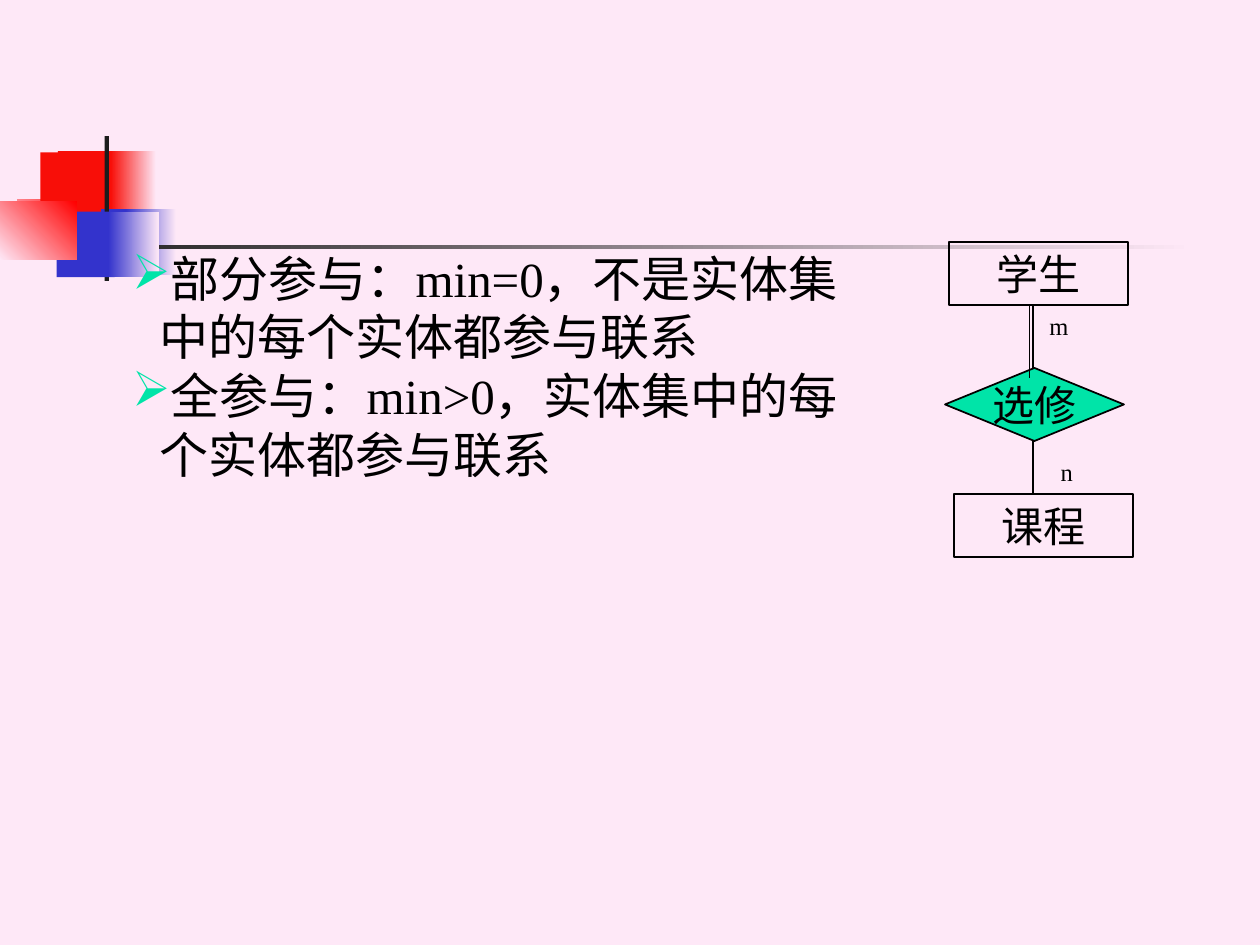
from dataclasses import dataclass
from typing import Optional

from lxml import etree
from pptx import Presentation
from pptx.dml.color import RGBColor
from pptx.enum.shapes import MSO_CONNECTOR, MSO_SHAPE
from pptx.enum.text import MSO_ANCHOR, PP_ALIGN
from pptx.oxml.ns import qn
from pptx.util import Inches, Pt

RECTANGLE = MSO_SHAPE.RECTANGLE
DECISION = MSO_SHAPE.FLOWCHART_DECISION
STRAIGHT = MSO_CONNECTOR.STRAIGHT
CENTER, LEFT = PP_ALIGN.CENTER, PP_ALIGN.LEFT
TOP, MIDDLE = MSO_ANCHOR.TOP, MSO_ANCHOR.MIDDLE

# The slide is a grid of 100 columns by 75 rows
WIDTH, HEIGHT = Inches(10), Inches(7.5)
COLUMNS, ROWS = 100, 75
FONT = "Times New Roman"
COLORS = {
    "background": "FEE8F7",
    "red": "F80E08",
    "bright red": "FF0000",
    "blue": "3333CC",
    "dark": "1C1C1C",
    "green": "00E4A8",
    "black": "000000",
}


@dataclass(frozen=True)
class Area:
    column: float
    row: float
    columns: float
    rows: float

    def emu(self) -> tuple:
        return x(self.column), y(self.row), x(self.columns), y(self.rows)


@dataclass(frozen=True)
class Block:
    area: Area
    color: str
    fade_to: Optional[str] = None
    angle: float = 0


@dataclass(frozen=True)
class Node:
    area: Area
    text: str
    preset: int = RECTANGLE
    fill: Optional[str] = None


@dataclass(frozen=True)
class Link:
    column: float
    start_row: float
    end_row: float


@dataclass(frozen=True)
class Label:
    area: Area
    text: str


def fade(area: Area, color: str) -> Block:
    return Block(area, color, "background")


def glow(area: Area) -> Block:
    return Block(area, "background", "bright red", 45)


DECORATION = [
    Block(Area(4.6, 12, 4.8, 5.2), "red"),
    fade(Area(8.8, 12, 3.6, 5.2), "red"),
    Block(Area(5.9, 16.6, 4.6, 5.2), "blue"),
    fade(Area(10, 16.6, 4, 5.2), "blue"),
    glow(Area(1.4, 15.8, 6.1, 4.6)),
    Block(Area(8.3, 10.8, 0.35, 11.5), "dark"),
    fade(Area(4.8, 19.45, 90, 0.35), "dark"),
    Block(Area(3.2, 12.1, 4.8, 5.2), "red"),
    Block(Area(4.5, 16.8, 4.6, 5.2), "blue"),
    fade(Area(8.6, 16.8, 4, 5.2), "blue"),
    glow(Area(0, 16, 6.1, 4.6)),
]
BULLETS = [
    "部分参与：min=0，不是实体集中的每个实体都参与联系",
    "全参与：min>0，实体集中的每个实体都参与联系",
]
NODES = [
    Node(Area(75.3, 19.2, 14.2, 5), "学生"),
    Node(Area(75.7, 39.2, 14.2, 5), "课程"),
    Node(Area(75, 29.2, 14.2, 5.8), "选修", DECISION, "green"),
]
LINKS = [Link(82, 24.2, 29.2), Link(82, 35, 39.2), Link(81.7, 24.2, 30)]
LABELS = [
    Label(Area(82.3, 24.2, 3.3, 3.4), "m"),
    Label(Area(83.2, 35.8, 2.5, 3.4), "n"),
]


def x(columns: float) -> int:
    return round(WIDTH * columns / COLUMNS)


def y(rows: float) -> int:
    return round(HEIGHT * rows / ROWS)


def rgb(name: str) -> RGBColor:
    return RGBColor.from_string(COLORS[name])


def add_run(para, text: str, size: float) -> None:
    span = para.add_run()
    span.text = text
    span.font.name = FONT
    span.font.size = Pt(size)
    span.font.color.rgb = rgb("black")


def add_block(page, block: Block) -> None:
    shape = page.shapes.add_shape(RECTANGLE, *block.area.emu())
    shape.shadow.inherit = False
    shape.line.fill.background()
    if block.fade_to is None:
        shape.fill.solid()
        shape.fill.fore_color.rgb = rgb(block.color)
        return
    shape.fill.gradient()
    shape.fill.gradient_angle = block.angle
    for stop, name in zip(shape.fill.gradient_stops, (block.color, block.fade_to)):
        stop.color.rgb = rgb(name)


def add_bullet(para) -> None:
    properties = para._p.get_or_add_pPr()
    properties.set("marL", str(Inches(0.5)))
    properties.set("indent", str(Inches(-0.22)))
    color = etree.SubElement(properties, qn("a:buClr"))
    etree.SubElement(color, qn("a:srgbClr")).set("val", COLORS["green"])
    etree.SubElement(properties, qn("a:buChar")).set("char", "➢")


def add_bullet_list(page, area: Area, lines: list) -> None:
    frame = page.shapes.add_textbox(*area.emu()).text_frame
    frame.word_wrap = True
    for index, line in enumerate(lines):
        para = frame.add_paragraph() if index else frame.paragraphs[0]
        add_bullet(para)
        add_run(para, line, 28)


def add_node(page, node: Node) -> None:
    shape = page.shapes.add_shape(node.preset, *node.area.emu())
    shape.shadow.inherit = False
    shape.line.color.rgb = rgb("black")
    shape.line.width = Pt(1)
    if node.fill:
        shape.fill.solid()
        shape.fill.fore_color.rgb = rgb(node.fill)
    else:
        shape.fill.background()
    frame = shape.text_frame
    frame.word_wrap = node.preset == RECTANGLE
    frame.vertical_anchor = TOP if node.preset == RECTANGLE else MIDDLE
    para = frame.paragraphs[0]
    para.alignment = CENTER
    add_run(para, node.text, 24)


def add_link(page, link: Link) -> None:
    line = page.shapes.add_connector(
        STRAIGHT, x(link.column), y(link.start_row), x(link.column), y(link.end_row))
    line.line.color.rgb = rgb("black")
    line.line.width = Pt(1)
    etree.SubElement(line._element.spPr, qn("a:effectLst"))


def add_label(page, label: Label) -> None:
    frame = page.shapes.add_textbox(*label.area.emu()).text_frame
    frame.word_wrap = True
    para = frame.paragraphs[0]
    para.alignment = LEFT
    add_run(para, label.text, 14)


def main() -> None:
    deck = Presentation()
    deck.slide_width, deck.slide_height = WIDTH, HEIGHT
    page = deck.slides.add_slide(deck.slide_layouts[6])
    page.background.fill.solid()
    page.background.fill.fore_color.rgb = rgb("background")

    # Corner decoration and rule
    for block in DECORATION:
        add_block(page, block)
    # Explanation
    add_bullet_list(page, Area(6.7, 19.2, 64.2, 19.7), BULLETS)
    # Entity-relationship diagram
    for node in NODES:
        add_node(page, node)
    for link in LINKS:
        add_link(page, link)
    for label in LABELS:
        add_label(page, label)
    deck.save("out.pptx")


if __name__ == "__main__":
    main()
